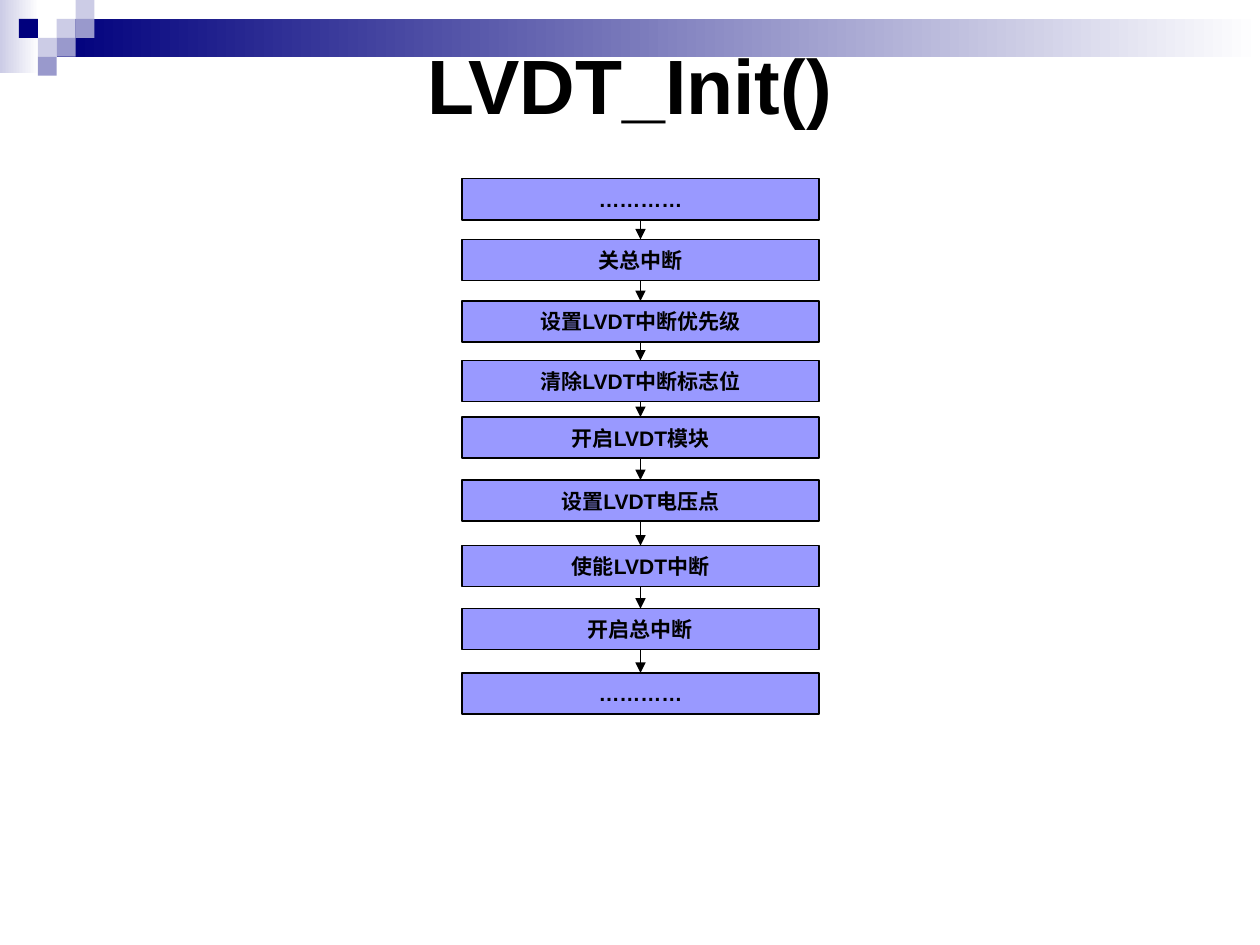
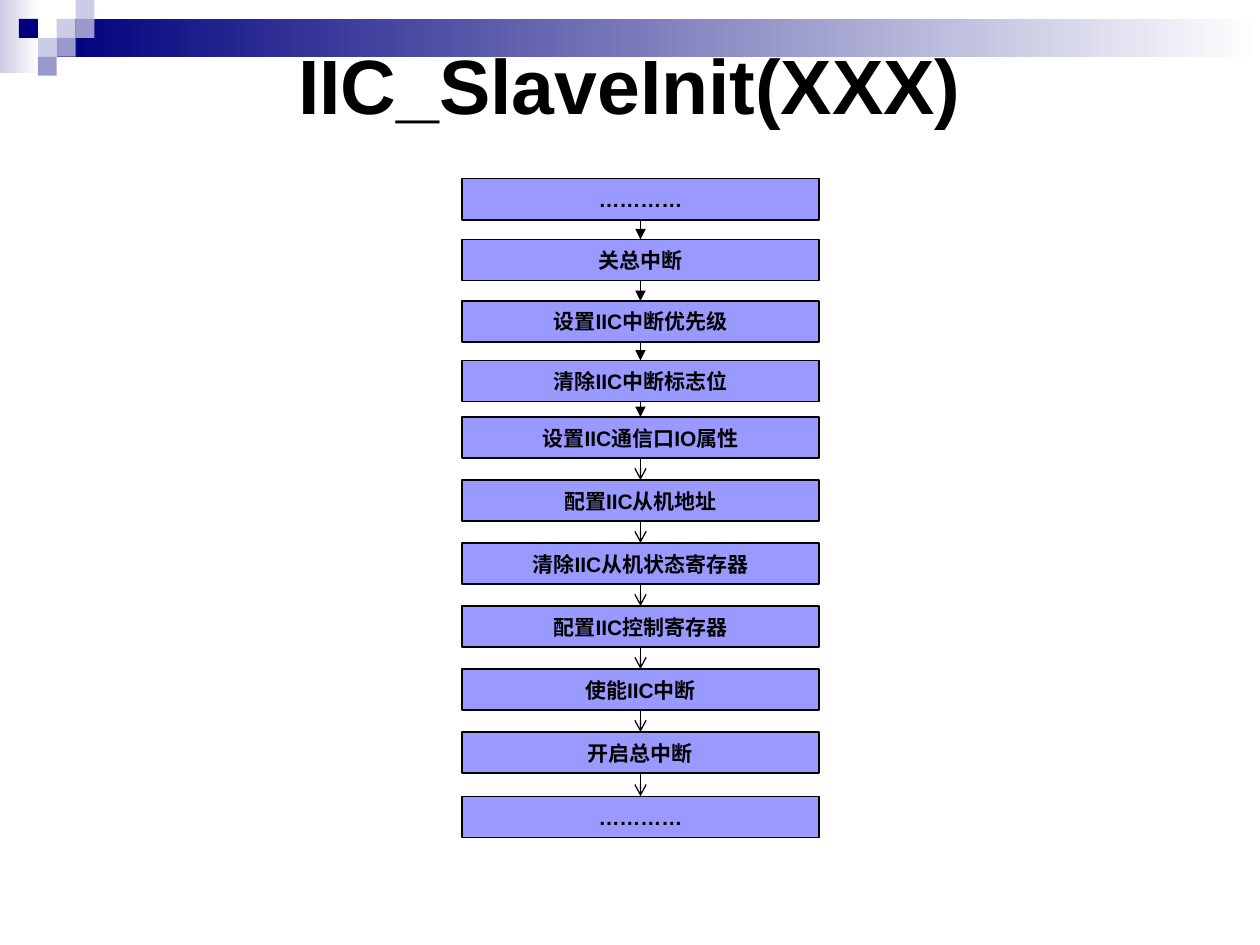
from dataclasses import dataclass
from itertools import accumulate

from lxml.etree import SubElement
from pptx import Presentation
from pptx.dml.color import RGBColor
from pptx.enum.shapes import MSO_CONNECTOR, MSO_SHAPE
from pptx.enum.text import MSO_ANCHOR, MSO_AUTO_SIZE, PP_ALIGN
from pptx.oxml.ns import qn
from pptx.util import Pt


@dataclass(frozen=True)
class Theme:
    font: str = "Arial"
    title_size: float = 44
    step_size: float = 12
    line_width: float = 0.75
    ink: RGBColor = RGBColor(0x00, 0x00, 0x00)
    white: RGBColor = RGBColor(0xFF, 0xFF, 0xFF)
    navy: RGBColor = RGBColor(0x00, 0x00, 0x7D)
    pale: RGBColor = RGBColor(0xCC, 0xCC, 0xE6)
    mid: RGBColor = RGBColor(0x99, 0x99, 0xCC)
    step_fill: RGBColor = RGBColor(0x99, 0x99, 0xFF)


THEME = Theme()

# Boxes in points: left, top, width, height
SLIDE_BOX = (0, 0, 720, 540)
TITLE_BOX = (36, 36, 648, 24)
FLOW_BOX = (264, 102.2, 204, 23.5)  # the first step; the rest run down from it

TILE = 10.8
TILES = [  # column, row, colour
    (3, 1, THEME.pale), (4, 0, THEME.pale), (4, 1, THEME.mid),
    (2, 2, THEME.pale), (1, 1, THEME.navy), (3, 2, THEME.mid),
    (2, 3, THEME.mid),
]

# Distance from the top of each step to the top of the next
OPENING_PITCHES = [34.6, 35.2, 34, 32.3]

FLOWS = [
    {
        "title": "LVDT_Init()",
        "steps": ["…………", "关总中断", "设置LVDT中断优先级", "清除LVDT中断标志位",
                  "开启LVDT模块", "设置LVDT电压点", "使能LVDT中断", "开启总中断",
                  "…………"],
        "pitches": OPENING_PITCHES + [36, 37.5, 36, 36.7],
        "later_head": "triangle",
    },
    {
        "title": "IIC_SlaveInit(XXX)",
        "steps": ["…………", "关总中断", "设置IIC中断优先级", "清除IIC中断标志位",
                  "设置IIC通信口IO属性", "配置IIC从机地址", "清除IIC从机状态寄存器",
                  "配置IIC控制寄存器", "使能IIC中断", "开启总中断", "…………"],
        "pitches": OPENING_PITCHES + [36] * 5 + [36.7],
        "later_head": "arrow",
    },
]


def apply(target, formats):
    for attribute, value in formats.items():
        setattr(target, attribute, value)


def write(shape, text, size, wrap):
    """Put one bold centred line in a shape."""
    frame = shape.text_frame
    frame.text = text
    apply(frame, {"word_wrap": wrap, "auto_size": MSO_AUTO_SIZE.NONE,
                  "vertical_anchor": MSO_ANCHOR.MIDDLE})
    paragraph = frame.paragraphs[0]
    paragraph.alignment = PP_ALIGN.CENTER
    apply(paragraph.font, {"name": THEME.font, "size": Pt(size), "bold": True})
    paragraph.font.color.rgb = THEME.ink


def add_rectangle(shapes, box):
    rectangle = shapes.add_shape(MSO_SHAPE.RECTANGLE, *map(Pt, box))
    rectangle.shadow.inherit = False
    return rectangle


def add_header(slide, layout, box):
    """Draw the header band and tiles, then move them behind the layout's parts."""
    left, top, width, _ = box
    header = slide.shapes.add_group_shape()

    # Fading corner and band
    band_left = 3 * TILE
    fades = [
        ((left, top, 22.3, 41.8), THEME.pale),
        ((left + band_left, top + TILE, width - band_left, 2 * TILE), THEME.navy),
    ]
    for fade_box, colour in fades:
        fade = add_rectangle(header.shapes, fade_box)
        fade.line.fill.background()
        fade.fill.gradient()
        fade.fill.gradient_angle = 0
        for stop, stop_colour in zip(fade.fill.gradient_stops, (colour, THEME.white)):
            stop.color.rgb = stop_colour

    # Tiles on a square grid
    for column, row, colour in TILES:
        tile = add_rectangle(
            header.shapes, (left + column * TILE, top + row * TILE, TILE, TILE))
        tile.line.fill.background()
        tile.fill.solid()
        tile.fill.fore_color.rgb = colour

    # Keep ids unique within the layout
    for properties in header.element.iter(qn("p:cNvPr")):
        properties.set("id", str(100 + int(properties.get("id"))))
    layout.shapes.element.insert(2, header.element)


def add_title(slide, text, box):
    title = slide.shapes.title
    apply(title, dict(zip(("left", "top", "width", "height"), map(Pt, box))))
    write(title, text, THEME.title_size, wrap=True)


def add_step(slide, text, box):
    step = add_rectangle(slide.shapes, box)
    step.fill.solid()
    step.fill.fore_color.rgb = THEME.step_fill
    step.line.color.rgb = THEME.ink
    step.line.width = Pt(THEME.line_width)
    write(step, text, THEME.step_size, wrap=False)
    return step


def add_arrow(slide, upper, lower, head):
    arrow = slide.shapes.add_connector(MSO_CONNECTOR.STRAIGHT, 0, 0, 0, 0)
    arrow.begin_connect(upper, 2)
    arrow.end_connect(lower, 0)
    arrow.line.color.rgb = THEME.ink
    arrow.line.width = Pt(THEME.line_width)
    properties = arrow.element.spPr
    SubElement(properties.find(qn("a:ln")), qn("a:tailEnd"), type=head)
    SubElement(properties, qn("a:effectLst"))


def add_flow(slide, flow, box):
    left, top, width, height = box
    step_tops = accumulate(flow["pitches"], initial=top)
    steps = [add_step(slide, text, (left, step_top, width, height))
             for text, step_top in zip(flow["steps"], step_tops)]
    for index, (upper, lower) in enumerate(zip(steps, steps[1:])):
        opening = index < len(OPENING_PITCHES)
        add_arrow(slide, upper, lower, "triangle" if opening else flow["later_head"])


def main():
    deck = Presentation()
    deck.slide_width, deck.slide_height = map(Pt, SLIDE_BOX[2:])
    title_only = deck.slide_layouts[5]

    for number, flow in enumerate(FLOWS):
        slide = deck.slides.add_slide(title_only)
        if number == 0:
            add_header(slide, title_only, SLIDE_BOX)
        add_title(slide, flow["title"], TITLE_BOX)
        add_flow(slide, flow, FLOW_BOX)

    deck.save("out.pptx")


if __name__ == "__main__":
    main()
